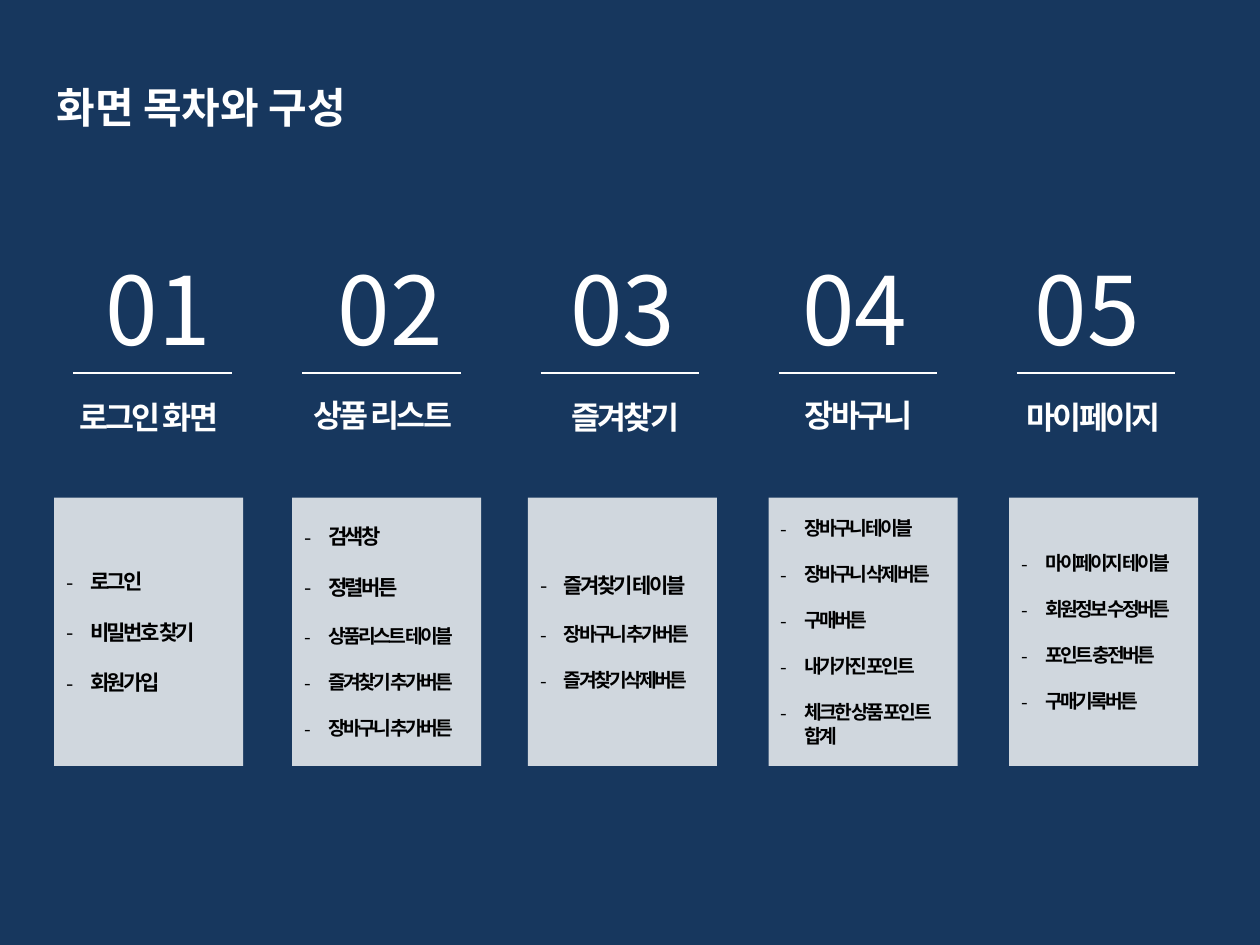
from lxml.etree import SubElement
from pptx import Presentation
from pptx.dml.color import RGBColor
from pptx.enum.shapes import MSO_CONNECTOR as Connector, MSO_SHAPE as Shape
from pptx.enum.text import MSO_ANCHOR as Anchor, PP_ALIGN as Align
from pptx.oxml.ns import qn
from pptx.util import Pt

NAVY = RGBColor(0x17, 0x37, 0x5E)
WHITE = RGBColor(0xFF, 0xFF, 0xFF)
BLACK = RGBColor(0, 0, 0)
KOREAN_FONT, LABEL_FONT = "Noto Sans CJK KR", "Arial"
LINE_HEIGHT = 1.19
RULE_WIDTH, RULE_TOP = 90.7, 213.1
PANEL_TOP, PANEL_WIDTH, PANEL_HEIGHT = 284.4, 108, 153.2
NUMBER_LEFT, NUMBER_PITCH, NUMBER_WIDTH = 40.3, 132.75, 100

# label, label box (left, top, width), rule left, panel left, items with sizes
SECTIONS = [
    ("로그인 화면", (31, 224, 108), 41.8, 31,
     [("로그인", 12), ("비밀번호 찾기", 12), ("회원가입", 12)]),
    ("상품 리스트", (153.5, 223, 130.3), 172.8, 167,
     [("검색창", 12), ("정렬버튼", 12), ("상품리스트 테이블", 11),
      ("즐겨찾기 추가버튼", 11), ("장바구니 추가버튼", 11)]),
    ("즐겨찾기", (292, 224, 130.3), 308.9, 301.7,
     [("즐겨찾기 테이블", 12), ("장바구니 추가버튼", 11), ("즐겨찾기삭제버튼", 11)]),
    ("장바구니", (417, 222.5, 147.6), 445, 439.2,
     [("장바구니테이블", 11), ("장바구니 삭제버튼", 11), ("구매버튼", 11),
      ("내가가진 포인트", 11), ("체크한 상품 포인트 합계", 11)]),
    ("마이페이지", (538.5, 224, 172.8), 581, 576.7,
     [("마이페이지 테이블", 11), ("회원정보 수정버튼", 11), ("포인트 충전버튼", 11),
      ("구매기록버튼", 11)]),
]


def add_span(para, text, size, color, font=KOREAN_FONT, bold=True, spacing=0):
    """Add a run; spacing is the letter spacing in points."""
    span = para.add_run()
    span.text = text
    span.font.size, span.font.bold, span.font.name = Pt(size), bold, font
    span.font.color.rgb = color
    properties = span.font._element
    SubElement(properties, qn("a:ea")).set("typeface", KOREAN_FONT)
    if spacing:
        properties.set("spc", str(round(spacing * 100)))


def add_text(page, box, text, size, align=Align.LEFT, **style):
    frame = page.shapes.add_textbox(*map(Pt, box)).text_frame
    frame.word_wrap = True
    para = frame.paragraphs[0]
    para.alignment = align
    add_span(para, text, size, WHITE, **style)


def add_rule(page, left, top, width):
    rule = page.shapes.add_connector(
        Connector.STRAIGHT, Pt(left), Pt(top), Pt(left + width), Pt(top))
    rule.line.color.rgb = WHITE
    rule.line.width = Pt(0.75)
    SubElement(rule._element.spPr, qn("a:effectLst"))


def add_panel(page, box, items):
    """Place a translucent panel with a dashed list, one empty line's gap apart."""
    panel = page.shapes.add_shape(Shape.RECTANGLE, *map(Pt, box))
    panel.shadow.inherit = False
    panel.fill.solid()
    panel.fill.fore_color.rgb = WHITE
    color = panel._element.spPr.find(qn("a:solidFill"))[0]
    SubElement(color, qn("a:alpha")).set("val", "80000")
    panel.line.fill.background()

    frame = panel.text_frame
    frame.word_wrap = True
    frame.vertical_anchor = Anchor.MIDDLE
    for index, (text, size) in enumerate(items):
        para = frame.add_paragraph() if index else frame.paragraphs[0]
        para.alignment = Align.LEFT
        if index < len(items) - 1:
            para.space_after = Pt(round(size * LINE_HEIGHT, 1))
        properties = para._p.get_or_add_pPr()
        properties.set("marL", str(Pt(13.5)))
        properties.set("indent", str(Pt(-13.5)))
        SubElement(properties, qn("a:buFont")).set("typeface", KOREAN_FONT)
        SubElement(properties, qn("a:buChar")).set("char", "-")
        add_span(para, text, size, BLACK, spacing=-1.5)


def add_section(page, index, label, label_box, rule_left, panel_left, items):
    number_left = NUMBER_LEFT + index * NUMBER_PITCH
    add_text(page, (number_left, 139.7, NUMBER_WIDTH, 72.7), f"{index + 1:02}", 54,
             Align.CENTER, bold=False)
    add_rule(page, rule_left, RULE_TOP, RULE_WIDTH)
    add_text(page, (*label_box, 28.8), label, 18, Align.CENTER,
             font=LABEL_FONT, spacing=-1.5)
    add_panel(page, (panel_left, PANEL_TOP, PANEL_WIDTH, PANEL_HEIGHT), items)


def main():
    deck = Presentation()
    deck.slide_width, deck.slide_height = Pt(720), Pt(540)
    page = deck.slides.add_slide(deck.slide_layouts[6])
    page.background.fill.solid()
    page.background.fill.fore_color.rgb = NAVY
    add_text(page, (25.2, 43.2, 329, 36), "화면 목차와 구성", 24)
    for index, section in enumerate(SECTIONS):
        add_section(page, index, *section)
    deck.save("out.pptx")


if __name__ == "__main__":
    main()
